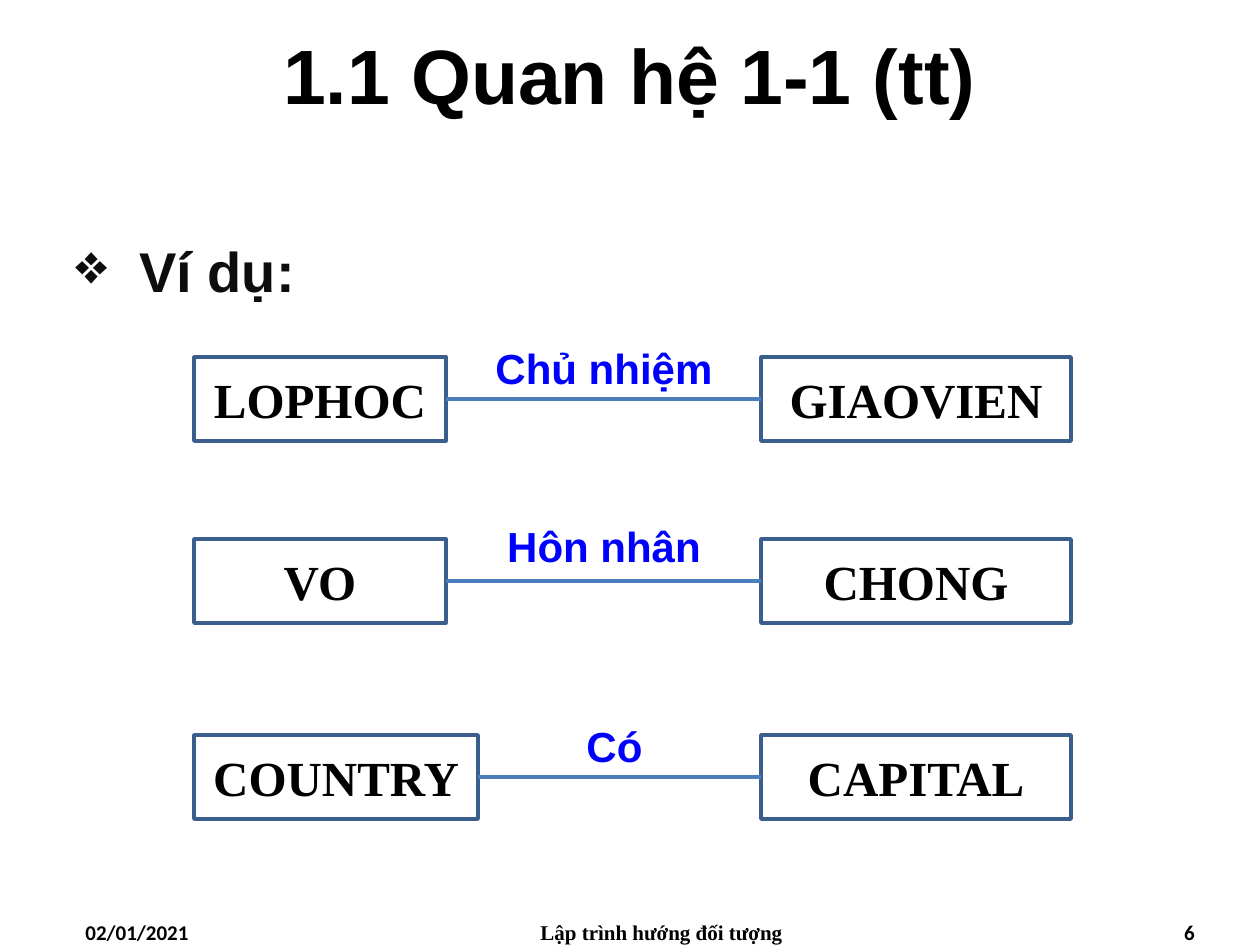
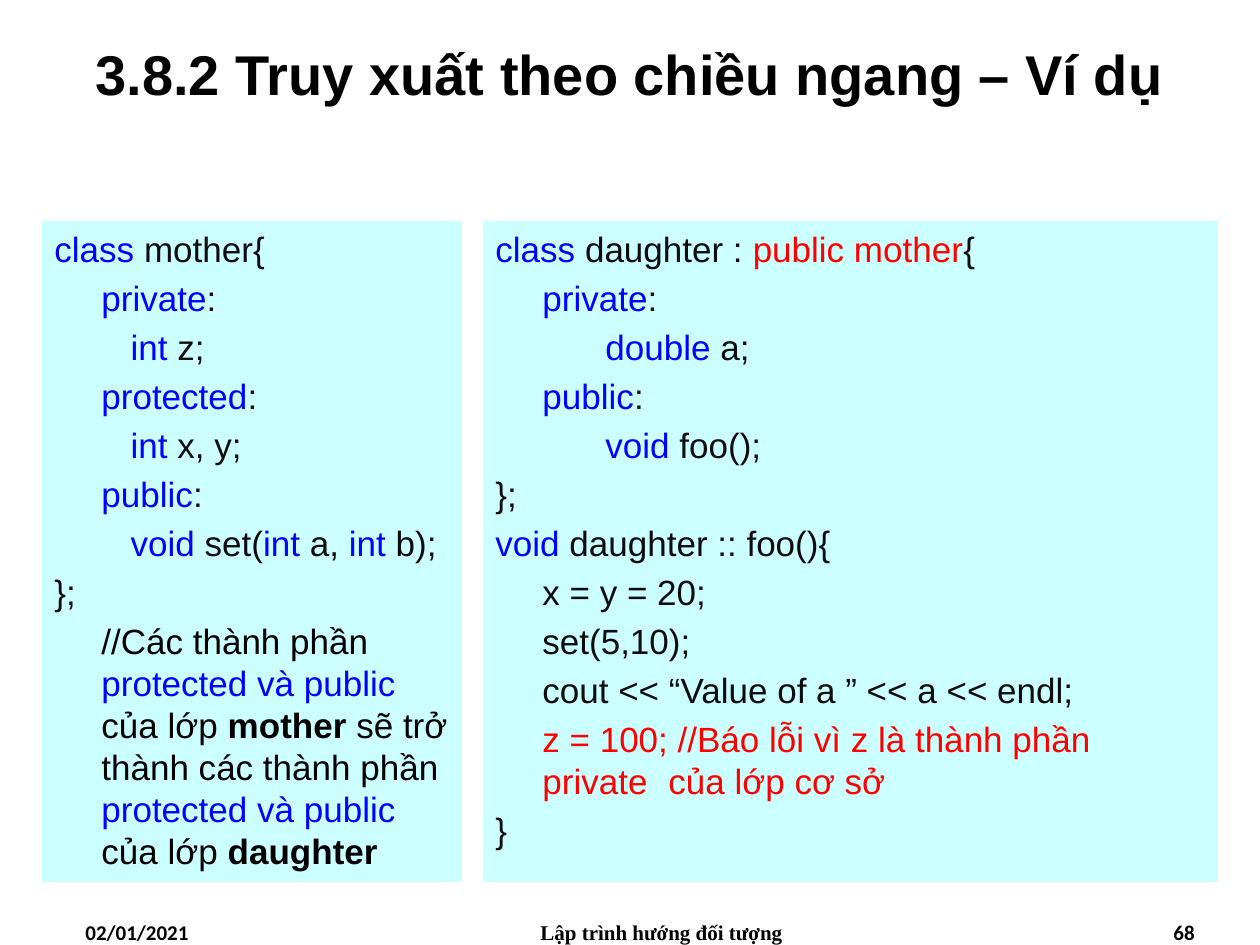
from lxml.etree import SubElement
from pptx import Presentation
from pptx.dml.color import RGBColor
from pptx.enum.shapes import MSO_CONNECTOR, MSO_SHAPE
from pptx.enum.text import MSO_ANCHOR, PP_ALIGN
from pptx.oxml.ns import qn
from pptx.util import Emu, Pt

PX_PER_INCH = 126
BLACK, INK, BLUE, RED = "000000", "0D0D0D", "0000FF", "FF0000"
BOX_LINE, LINK_LINE, PANEL = "3A5F8C", "4B7EBC", "CCFFFF"
SANS, SERIF, FOOTER_FONT = "Arial", "Times New Roman", "Calibri"

# Footer parts: text (None is the slide number), left, width, alignment, font
FOOTERS = [
    ("02/01/2021", 73, 294, PP_ALIGN.LEFT, FOOTER_FONT),
    ("Lập trình hướng đối tượng", 462, 399, PP_ALIGN.CENTER, SERIF),
    (None, 913, 294, PP_ALIGN.RIGHT, FOOTER_FONT),
]

# Relations: left entity, its width, relation name, right entity, top, name top
RELATIONS = [
    ("LOPHOC", 252, "Chủ nhiệm", "GIAOVIEN", 357, 336),
    ("VO", 252, "Hôn nhân", "CHONG", 539, 514),
    ("COUNTRY", 284, "Có", "CAPITAL", 735, 714),
]
ENTITY_LEFT, ENTITY_RIGHT, RIGHT_WIDTH, ENTITY_HEIGHT = 194, 761, 310, 84
NAME_RIGHT = 730

# Code lines: a plain string is ink, a pair is (text, colour), a triple adds bold
MOTHER_CODE = [
    [("class", BLUE), " mother{"],
    ["\t", ("private", BLUE), ":"],
    ["\t   ", ("int", BLUE), " z;"],
    ["\t", ("protected", BLUE), ":"],
    ["\t   ", ("int", BLUE), " x, y;"],
    ["\t", ("public", BLUE), ":"],
    ["\t   ", ("void", BLUE), " set(", ("int", BLUE), " a, ", ("int", BLUE), " b);"],
    ["};"],
]
MOTHER_REMARK = [
    ("//Các thành phần ", BLACK), ("protected và public ", BLUE),
    ("của lớp ", BLACK), ("mother", BLACK, True),
    (" sẽ trở thành các thành phần ", BLACK), ("protected và public", BLUE),
    (" của lớp ", BLACK), ("daughter", BLACK, True),
]
DAUGHTER_CODE = [
    [("class", BLUE), " daughter : ", ("public mother", RED), "{"],
    ["\t", ("private", BLUE), ":"],
    ["\t\t", ("double", BLUE), " a;"],
    ["\t", ("public", BLUE), ":"],
    ["\t\t", ("void", BLUE), " foo();"],
    ["};"],
    [("void", BLUE), " daughter :: foo(){"],
    ["\tx = y = 20;"],
    ["\tset(5,10);"],
    ["\tcout << “Value of a ” << a << endl;"],
    [("\tz = 100; //Báo lỗi vì z là thành phần private \tcủa lớp cơ sở", RED)],
    ["}"],
]
PANEL_TOP, PANEL_HEIGHT = 221, 661
CODE_INDENT, ERROR_LINE, ERROR_TAB = 47, 10, 181


def px(length):
    return Emu(round(length * 914400 / PX_PER_INCH))


def color(value):
    return RGBColor.from_string(value)


def add_run(paragraph, text, size, font, value, bold=False):
    run = paragraph.add_run()
    run.text = text
    run.font.size = Pt(size)
    run.font.name = font
    run.font.bold = bold
    run.font.color.rgb = color(value)


def set_indent(paragraph, margin, first):
    properties = paragraph._p.get_or_add_pPr()
    properties.set("marL", str(px(margin)))
    properties.set("indent", str(px(first)))
    return properties


def add_text(slide, box, text, size, font=SANS, value=BLACK,
             align=PP_ALIGN.CENTER, anchor=MSO_ANCHOR.TOP):
    """Add a text box with one bold run and return its paragraph."""
    frame = slide.shapes.add_textbox(*map(px, box)).text_frame
    frame.word_wrap = True
    frame.vertical_anchor = anchor
    paragraph = frame.paragraphs[0]
    paragraph.alignment = align
    add_run(paragraph, text, size, font, value, True)
    return paragraph


def add_rectangle(slide, box, fill=None, line=None):
    shape = slide.shapes.add_shape(MSO_SHAPE.RECTANGLE, *map(px, box))
    shape.shadow.inherit = False
    if fill:
        shape.fill.solid()
        shape.fill.fore_color.rgb = color(fill)
    else:
        shape.fill.background()
    if line:
        shape.line.color.rgb = color(line)
        shape.line.width = Pt(2)
    else:
        shape.line.fill.background()
    shape.text_frame.word_wrap = True
    return shape


def add_slide(presentation, title, title_size, number):
    slide = presentation.slides.add_slide(presentation.slide_layouts[6])
    add_text(slide, (0, 0, 1260, 147), title, title_size, anchor=MSO_ANCHOR.MIDDLE)
    for text, left, width, align, font in FOOTERS:
        add_text(slide, (left, 913, width, 32), text or str(number), 12, font,
                 align=align)
    return slide


def add_entity(slide, name, left, top, width):
    shape = add_rectangle(slide, (left, top, width, ENTITY_HEIGHT), line=BOX_LINE)
    shape.text_frame.vertical_anchor = MSO_ANCHOR.MIDDLE
    paragraph = shape.text_frame.paragraphs[0]
    paragraph.alignment = PP_ALIGN.CENTER
    add_run(paragraph, name, 28, SERIF, BLACK, True)
    return shape


def add_relation(slide, first, width, name, second, top, name_top):
    """Draw two entities, the line that joins them and its name."""
    start = add_entity(slide, first, ENTITY_LEFT, top, width)
    end = add_entity(slide, second, ENTITY_RIGHT, top, RIGHT_WIDTH)
    link = slide.shapes.add_connector(MSO_CONNECTOR.STRAIGHT, 0, 0, 0, 0)
    link.begin_connect(start, 3)
    link.end_connect(end, 1)
    link.line.color.rgb = color(LINK_LINE)
    link.line.width = Pt(2)
    SubElement(link._element.spPr, qn("a:effectLst"))
    name_left = ENTITY_LEFT + width + 32 if width == 252 else 499
    add_text(slide, (name_left, name_top, NAME_RIGHT - name_left, 63), name, 24,
             value=BLUE)


def add_code_panel(slide, left, width, lines):
    """Add a filled panel with one paragraph per code line."""
    panel = add_rectangle(slide, (left, PANEL_TOP, width, PANEL_HEIGHT), fill=PANEL)
    frame = panel.text_frame
    frame.vertical_anchor = MSO_ANCHOR.TOP
    for index, line in enumerate(lines):
        paragraph = frame.add_paragraph() if index else frame.paragraphs[0]
        paragraph.alignment = PP_ALIGN.LEFT
        set_indent(paragraph, CODE_INDENT, 0 if line is MOTHER_REMARK else -CODE_INDENT)
        if index:
            paragraph.space_before = Pt(4)
        for part in line:
            text, value, *bold = (part, INK) if isinstance(part, str) else part
            add_run(paragraph, text, 20, SANS, value, *bold)
    return frame


def build_relations_slide(presentation):
    slide = add_slide(presentation, "1.1 Quan hệ 1-1 (tt)", 44, 6)
    heading = add_text(slide, (63, 210, 1155, 105), "Ví dụ:", 32, value=INK,
                       align=PP_ALIGN.JUSTIFY)
    SubElement(set_indent(heading, 64, -64), qn("a:buChar"), char="❖")
    heading.line_spacing = 1.3
    heading.space_after = Pt(3)
    for relation in RELATIONS:
        add_relation(slide, *relation)


def build_code_slide(presentation):
    slide = add_slide(presentation, "3.8.2 Truy xuất theo chiều ngang – Ví dụ", 32, 68)
    daughter = add_code_panel(slide, 483, 735, DAUGHTER_CODE)
    properties = daughter.paragraphs[ERROR_LINE]._p.get_or_add_pPr()
    tabs = SubElement(properties, qn("a:tabLst"))
    SubElement(tabs, qn("a:tab"), pos=str(px(ERROR_TAB)), algn="l")
    add_code_panel(slide, 42, 420, MOTHER_CODE + [MOTHER_REMARK])


def main():
    presentation = Presentation()
    presentation.slide_width, presentation.slide_height = px(1260), px(945)
    build_relations_slide(presentation)
    build_code_slide(presentation)
    presentation.save("out.pptx")


if __name__ == "__main__":
    main()
